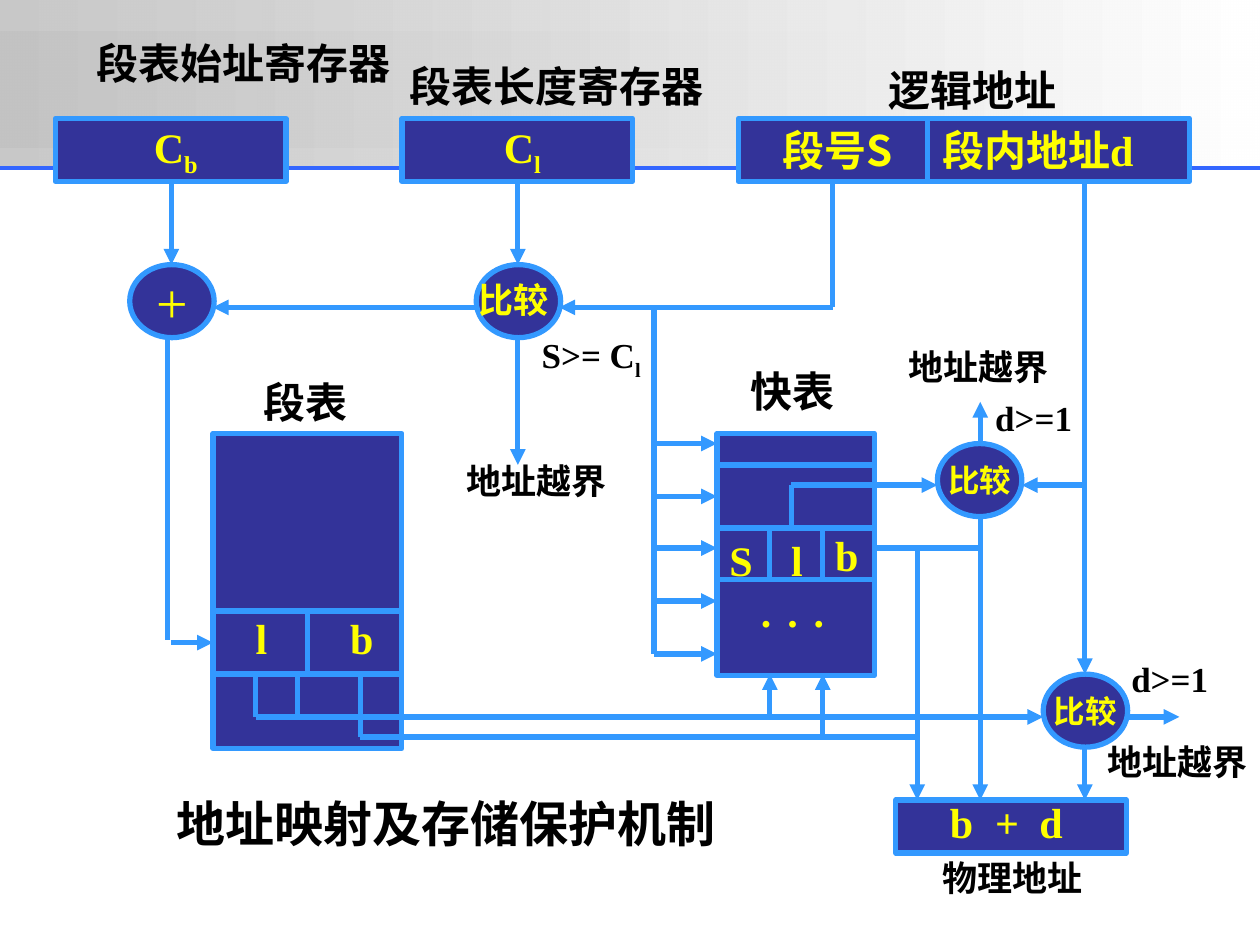
from lxml import etree
from pptx import Presentation
from pptx.dml.color import RGBColor
from pptx.enum.shapes import MSO_CONNECTOR, MSO_SHAPE
from pptx.enum.text import MSO_ANCHOR, MSO_AUTO_SIZE, PP_ALIGN
from pptx.oxml.ns import qn
from pptx.util import Inches, Pt

STRAIGHT = MSO_CONNECTOR.STRAIGHT
RECTANGLE, OVAL = MSO_SHAPE.RECTANGLE, MSO_SHAPE.OVAL
CENTER, LEFT = PP_ALIGN.CENTER, PP_ALIGN.LEFT
MIDDLE, TOP = MSO_ANCHOR.MIDDLE, MSO_ANCHOR.TOP

BLACK, YELLOW, NAVY, BLUE = "000000", "FFFF00", "333399", "3399FF"
GRAY, WHITE, RULE = "C0C0C0", "FFFFFF", "3366FF"
SERIF, SANS, CJK = "Times New Roman", "Arial", "Noto Sans CJK SC"

TITLE = "地址映射及存储保护机制"
# left, top, width, height, opacity of the left end in percent
HEADER_BANDS = [(0, 0, 10, 1.33, 86), (0, 0.25, 10, 0.92, 59)]

BOXES = [  # left, top, width, height
    (5.86, 0.94, 3.58, 0.5),   # logical address
    (7.11, 6.35, 1.83, 0.42),  # physical address
    (1.69, 3.44, 1.5, 2.5),    # segment table
    (5.69, 3.44, 1.25, 1.92),  # fast table
]
REGISTERS = [(0.44, "b"), (3.19, "l")]  # left, subscript of C
CIRCLES = [  # left, top, text, size, bold
    (1.03, 2.1, "+", 32, False),
    (3.78, 2.1, "", 20, True),
    (7.44, 3.52, "比较", 18, True),
    (8.28, 5.35, "比较", 18, True),
]

DIVIDERS = [
    [(7.36, 0.94), (7.36, 1.44)],
    [(1.69, 4.85), (3.19, 4.85)],
    [(2.44, 4.85), (2.44, 5.35)],
    [(1.69, 5.35), (3.19, 5.35)],
    [(6.11, 4.19), (6.11, 4.6)],
    [(6.53, 4.19), (6.53, 4.6)],
] + [[(5.69, y), (6.94, y)] for y in (3.69, 4.19, 4.6)]
PLAIN_ROUTES = [
    [(5.19, 2.44), (5.19, 5.19)],
    [(1.33, 2.67), (1.33, 5.08)],
    [(2.86, 5.35), (2.86, 5.85), (7.28, 5.85)],
    [(6.94, 4.35), (7.78, 4.35)],
    [(2.36, 5.35), (2.36, 5.69)],
]
ARROW_ROUTES = [
    [(1.36, 1.44), (1.36, 2.1)],
    [(4.11, 1.44), (4.11, 2.1)],
    [(4.11, 2.69), (4.11, 3.69)],
    [(3.78, 2.44), (1.69, 2.44)],
    [(6.61, 1.44), (6.61, 2.44), (4.44, 2.44)],
    [(1.36, 5.1), (1.69, 5.1)],
    [(8.61, 1.44), (8.61, 5.35)],
    [(8.61, 3.85), (8.11, 3.85)],
    [(6.28, 4.19), (6.28, 3.85), (7.44, 3.85)],
    [(7.78, 3.52), (7.78, 3.19)],
    [(7.78, 4.1), (7.78, 6.35)],
    [(7.28, 4.35), (7.28, 6.35)],
    [(2.03, 5.35), (2.03, 5.69), (8.28, 5.69)],
    [(8.61, 5.94), (8.61, 6.35)],
    [(8.94, 5.69), (9.36, 5.69)],
    [(6.11, 5.69), (6.11, 5.35)],
    [(6.53, 5.85), (6.53, 5.35)],
] + [[(5.19, y), (5.69, y)] for y in (3.52, 3.94, 4.35, 4.77, 5.19)]

# left, top, width, text
HEADINGS = [
    (0.67, 0.25, 2.53, "段表始址寄存器"),
    (3.15, 0.43, 2.53, "段表长度寄存器"),
    (6.95, 0.46, 1.53, "逻辑地址"),
    (1.99, 2.94, 0.86, "段表"),
    (5.86, 2.85, 0.86, "快表"),
]
NOTES = [
    (7.38, 6.75, 1.31, "物理地址"),
    (7.11, 2.69, 1.31, "地址越界"),
    (3.6, 3.6, 1.31, "地址越界"),
    (8.69, 5.83, 1.31, "地址越界"),
    (7.8, 3.1, 0.81, "d>=1"),
    (8.88, 5.17, 0.81, "d>=1"),
]
FIELDS = [
    (1.93, 4.81, 0.29, "l"), (2.68, 4.81, 0.38, "b"),
    (5.69, 4.19, 0.38, "S"), (6.18, 4.19, 0.29, "l"), (6.53, 4.15, 0.38, "b"),
    (7.44, 6.27, 0.38, "b"), (7.8, 6.27, 0.39, "+"), (8.15, 6.27, 0.38, "d"),
] + [(x, 4.6, 0.28, ".") for x in (5.94, 6.15, 6.36)]


def color(hex_text):
    return RGBColor.from_string(hex_text)


def add_run(paragraph, text, size, ink, bold=True, font=SERIF, subscript=False):
    run = paragraph.add_run()
    run.text = text
    for name, value in {"size": Pt(size), "bold": bold, "name": font}.items():
        setattr(run.font, name, value)
    run.font.color.rgb = color(ink)
    properties = run.font._element
    etree.SubElement(properties, qn("a:ea")).set("typeface", CJK)
    if subscript:
        properties.set("baseline", "-25000")


def set_frame(shape, anchor, align, wrap=False):
    frame = shape.text_frame
    settings = {"auto_size": MSO_AUTO_SIZE.NONE, "word_wrap": wrap,
                "vertical_anchor": anchor,
                "margin_left": Inches(0.1), "margin_right": Inches(0.1),
                "margin_top": Inches(0.05), "margin_bottom": Inches(0.05)}
    for name, value in settings.items():
        setattr(frame, name, value)
    frame.paragraphs[0].alignment = align
    return frame.paragraphs[0]


def add_label(slide, left, top, width, text, size, ink, **options):
    height = 0.5 if size == 24 else 0.44
    box = slide.shapes.add_textbox(*map(Inches, (left, top, width, height)))
    paragraph = set_frame(box, TOP, LEFT)
    add_run(paragraph, text, size, ink, **options)
    return paragraph


def add_node(slide, kind, left, top, width, height):
    shape = slide.shapes.add_shape(kind, *map(Inches, (left, top, width, height)))
    shape.shadow.inherit = False
    shape.fill.solid()
    shape.fill.fore_color.rgb = color(NAVY)
    shape.line.color.rgb = color(BLUE)
    shape.line.width = Pt(3)
    return shape


def add_band(slide, left, top, width, height, opacity):
    """Header strip fading from translucent gray to white."""
    band = add_node(slide, RECTANGLE, left, top, width, height)
    band.line.fill.background()
    band.fill.gradient()
    band.fill.gradient_angle = 0
    for stop, ink in zip(band.fill.gradient_stops, (GRAY, WHITE)):
        stop.color.rgb = color(ink)
    first_color = band._element.spPr.find(".//" + qn("a:srgbClr"))
    etree.SubElement(first_color, qn("a:alpha")).set("val", str(opacity * 1000))


def add_route(slide, points, arrow=False, ink=BLUE, width=3):
    """Chain of straight connectors; an arrowhead goes on the last one."""
    for start, end in zip(points, points[1:]):
        connector = slide.shapes.add_connector(STRAIGHT, *map(Inches, start + end))
        connector.line.color.rgb = color(ink)
        connector.line.width = Pt(width)
        etree.SubElement(connector._element.spPr, qn("a:effectLst"))
        if arrow and end == points[-1]:
            line = connector.line._get_or_add_ln()
            etree.SubElement(line, qn("a:tailEnd")).set("type", "triangle")


def main():
    presentation = Presentation()
    presentation.slide_width, presentation.slide_height = Inches(10), Inches(7.5)
    slide = presentation.slides.add_slide(presentation.slide_layouts[5])

    title = slide.shapes.title
    title.left, title.top, title.width, title.height = map(
        Inches, (0.58, 6.25, 5.92, 0.83))
    add_run(set_frame(title, TOP, CENTER, wrap=True), TITLE, 28, BLACK, font=SANS)

    for band in HEADER_BANDS:
        add_band(slide, *band)
    add_route(slide, [(0, 1.33), (10, 1.33)], ink=RULE, width=2.25)

    for box in BOXES:
        add_node(slide, RECTANGLE, *box)
    for left, subscript in REGISTERS:
        register = add_node(slide, RECTANGLE, left, 0.94, 1.83, 0.5)
        paragraph = set_frame(register, MIDDLE, CENTER)
        register.text_frame.margin_left = Inches(0.18)
        add_run(paragraph, "C", 24, YELLOW)
        add_run(paragraph, subscript, 24, YELLOW, subscript=True)
    for left, top, text, size, bold in CIRCLES:
        circle = add_node(slide, OVAL, left, top, 0.67, 0.58)
        if text:
            add_run(set_frame(circle, MIDDLE, CENTER), text, size, YELLOW, bold)

    for points in DIVIDERS + PLAIN_ROUTES:
        add_route(slide, points)
    for points in ARROW_ROUTES:
        add_route(slide, points, arrow=True)

    for labels, size, ink in ((HEADINGS, 24, BLACK), (NOTES, 20, BLACK),
                              (FIELDS, 24, YELLOW)):
        for label in labels:
            add_label(slide, *label, size, ink)
    add_label(slide, 3.7, 2.16, 0.75, "比较", 20, YELLOW)
    add_label(slide, 6.11, 0.94, 1.16, "段号S", 24, YELLOW, font=CJK)
    offset = add_label(slide, 7.38, 0.94, 1.8, "段内地址", 24, YELLOW, font=CJK)
    add_run(offset, "d", 24, YELLOW)
    condition = add_label(slide, 4.2, 2.6, 0.99, "S>= C", 20, BLACK)
    add_run(condition, "l", 20, BLACK, subscript=True)

    presentation.save("out.pptx")


if __name__ == "__main__":
    main()
